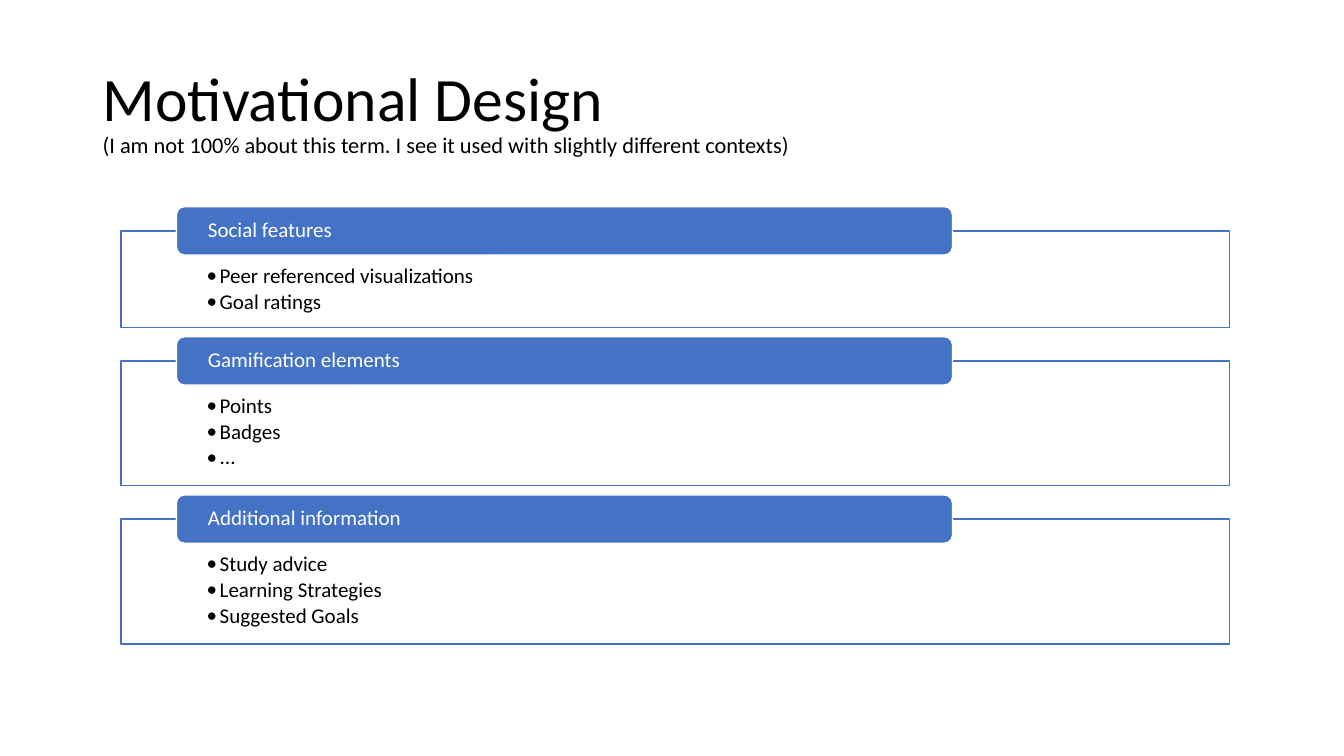
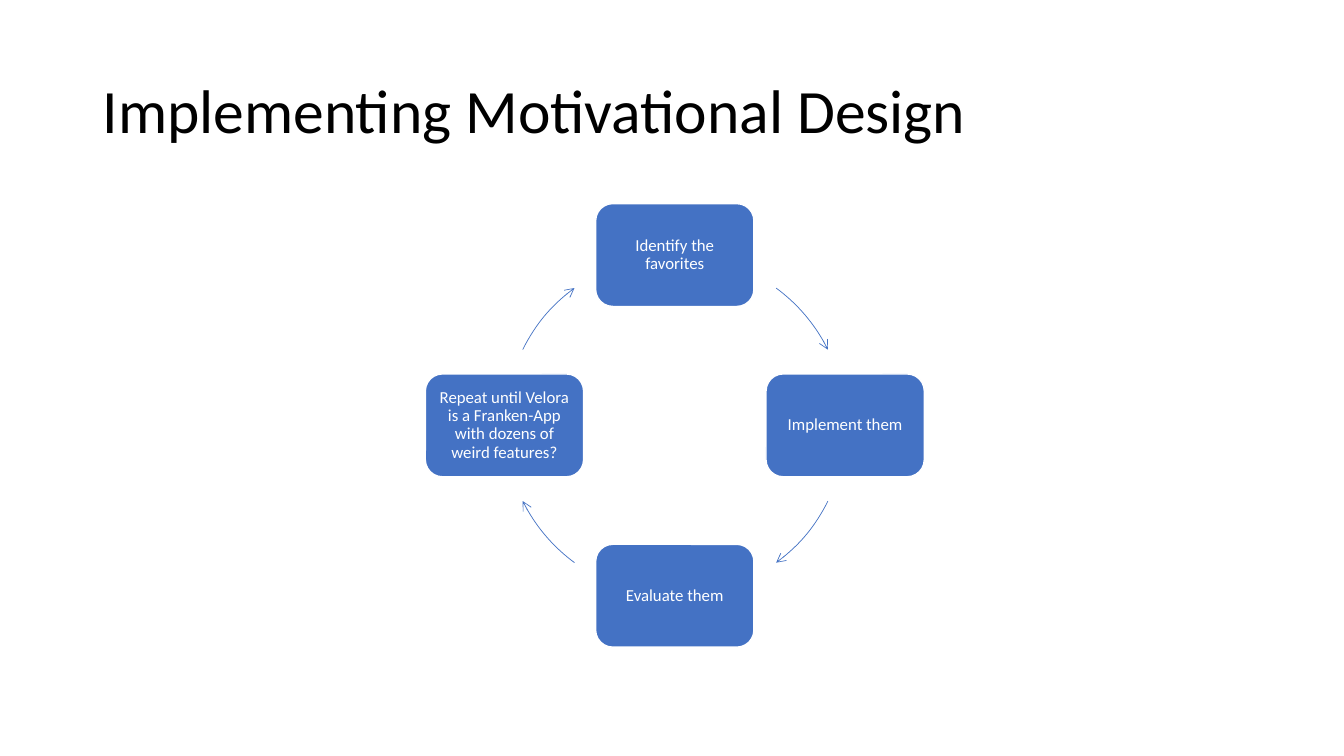
from lxml import etree
from pptx import Presentation, util as u
from pptx.dml.color import RGBColor
from pptx.enum import shapes, text
from pptx.oxml.ns import qn

PX = 9144  # 100 px to the inch
FONT = "Calibri"
COLORS = {"blue": "4472C4", "white": "FFFFFF", "black": "000000"}
TITLE_BOX = (92, 40, 1150, 145)
LEFT, CENTER = text.PP_ALIGN.LEFT, text.PP_ALIGN.CENTER
ROUNDED = shapes.MSO_SHAPE.ROUNDED_RECTANGLE


def add_block(s, preset, box, fill, line, width):
    sp = s.shapes.add_shape(preset, *(v * PX for v in box))
    sp.shadow.inherit = False
    if fill:
        sp.fill.solid()
        sp.fill.fore_color.rgb = RGBColor.from_string(COLORS[fill])
    else:
        sp.fill.background()
    sp.line.color.rgb = RGBColor.from_string(COLORS[line])
    sp.line.width = u.Pt(width)
    return sp


def write(sp, content, sizes, color, insets, align=LEFT, anchor=text.MSO_ANCHOR.MIDDLE):
    """Set the text; sizes gives one point size for each run of a paragraph."""
    tf = sp.text_frame
    tf.word_wrap = True
    tf.vertical_anchor = anchor
    tf.margin_left, tf.margin_top, tf.margin_right, tf.margin_bottom = (v * PX for v in insets)
    tf.text = content
    for p in tf.paragraphs:
        p.alignment = align
        p.line_spacing = 0.9
        for r, size in zip(p.runs, sizes):
            r.font.name = FONT
            r.font.size = u.Pt(size)
            r.font.color.rgb = RGBColor.from_string(COLORS[color])
    return tf


prs = Presentation()
prs.slide_width, prs.slide_height = u.Emu(12192000), 750 * PX
titles = [
    "Motivational Design\v(I am not 100% about this term. I see it used with slightly different contexts)",
    "Implementing Motivational Design",
]
slides = []
for title in titles:
    s = prs.slides.add_slide(prs.slide_layouts[6])
    box = s.shapes.add_textbox(*(v * PX for v in TITLE_BOX))
    write(box, title, (44, 16), "black", (10, 5, 10, 5))
    slides.append(s)
features_slide, cycle_slide = slides

# Feature panels, each as tall as its list needs
features = {
    "Social features": ["Peer referenced visualizations", "Goal ratings"],
    "Gamification elements": ["Points", "Badges", "..."],
    "Additional information": ["Study advice", "Learning Strategies", "Suggested Goals"],
}
PANEL_GAP = 33
BULLET_INDENT = 13
top = 229
for heading, items in features.items():
    height = 40 + 28 * len(items)
    panel = add_block(features_slide, shapes.MSO_SHAPE.RECTANGLE,
                      (120, top, 1100, height), "white", "blue", 1)
    tf = write(panel, "\n".join(items), (15,), "black", (85, 34, 85, 12),
               anchor=text.MSO_ANCHOR.TOP)
    for p in tf.paragraphs:
        p.space_after = u.Pt(2.25)
        pPr = p._p.get_or_add_pPr()
        pPr.set("marL", str(BULLET_INDENT * PX))
        pPr.set("indent", str(-BULLET_INDENT * PX))
        etree.SubElement(pPr, qn("a:buFont")).set("typeface", FONT)
        etree.SubElement(pPr, qn("a:buChar")).set("char", "•")
    tab = add_block(features_slide, ROUNDED, (175, top - 24, 770, 48), "blue", "white", 1)
    write(tab, heading, (15,), "white", (29, 0, 29, 0))
    top += height + PANEL_GAP

# Cycle: four steps clockwise from the top, with an arc after each
CX, CY, RADIUS = 670, 422, 169
STEP_W, STEP_H = 157, 102
steps = [
    ("Identify the favorites", 0, -1),
    ("Implement them", 1, 0),
    ("Evaluate them", 0, 1),
    ("Repeat until Velora is a Franken-App with dozens of weird features?", -1, 0),
]
for i, (label, dx, dy) in enumerate(steps):
    step = add_block(cycle_slide, ROUNDED,
                     (CX + dx * RADIUS - (STEP_W + 1) // 2, CY + dy * RADIUS - STEP_H // 2,
                      STEP_W, STEP_H), "blue", "white", 1)
    write(step, label, (12,), "white", (5, 5, 5, 5), align=CENTER)
    arc = add_block(cycle_slide, shapes.MSO_SHAPE.ARC,
                    (CX - RADIUS, CY - RADIUS, 2 * RADIUS, 2 * RADIUS), None, "blue", 0.5)
    # The wide side of a step clears more of the circle than its short side
    first, last = (36.3, 63.6) if dx == 0 else (26.4, 53.7)
    for k, angle in enumerate((first, last)):
        arc.adjustments[k] = (270 + 90 * i + angle) % 360 * 0.6
    etree.SubElement(arc.line._get_or_add_ln(), qn("a:tailEnd")).set("type", "arrow")

prs.save("out.pptx")
